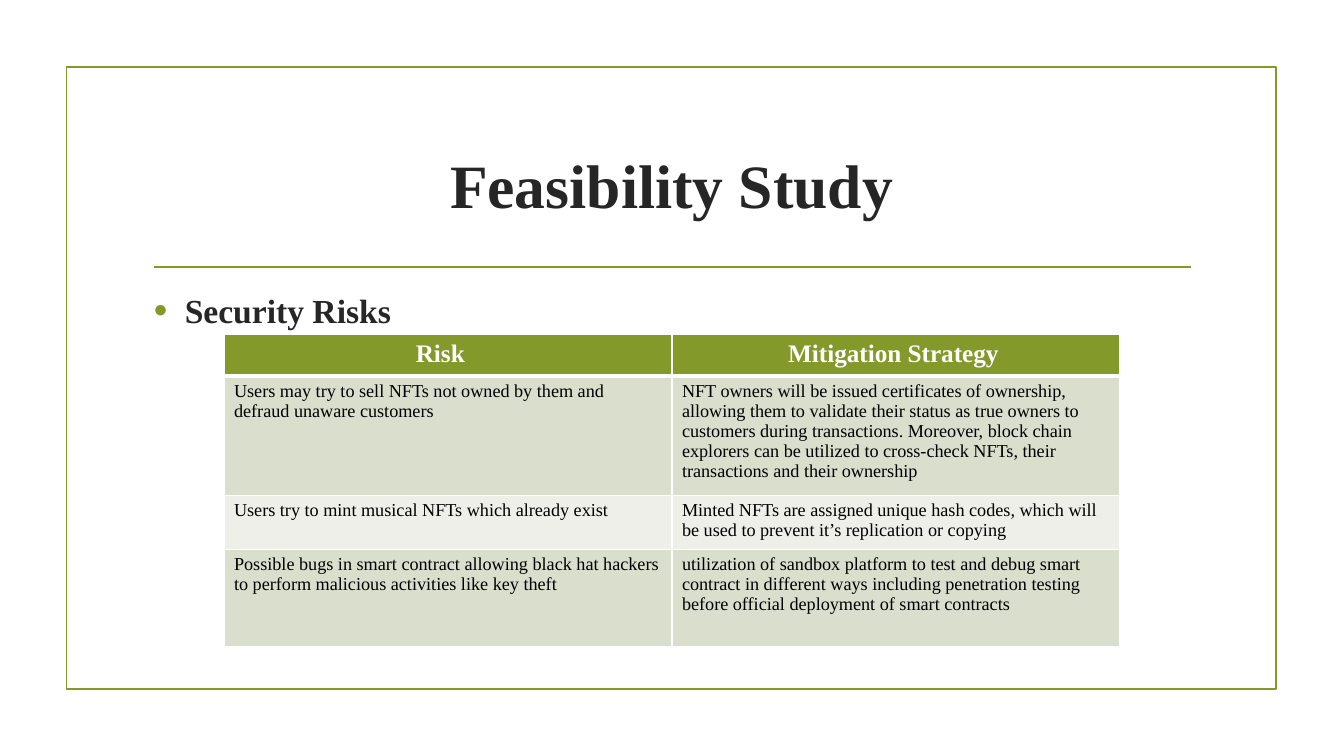
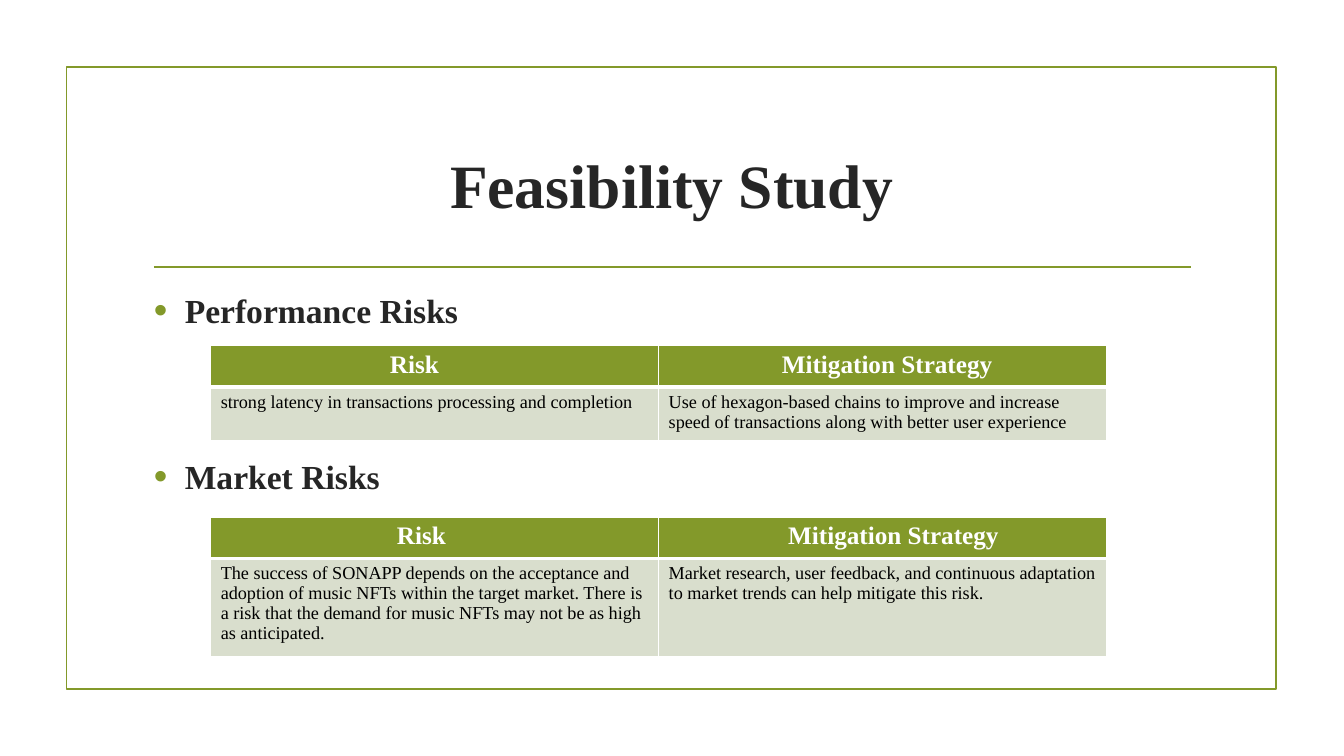
from lxml import etree
from pptx import Presentation
from pptx.dml.color import RGBColor
from pptx.enum import shapes, text
from pptx.oxml import ns
from pptx.util import Pt

OLIVE = RGBColor(0x83, 0x99, 0x2A)
INK = RGBColor(0x26, 0x26, 0x26)
BLACK = RGBColor(0, 0, 0)
WHITE = RGBColor(0xFF, 0xFF, 0xFF)
BANDS = [RGBColor(0xD9, 0xDE, 0xCD), RGBColor(0xED, 0xEF, 0xE8)]
FONT = "Times New Roman"
HEADER = ("Risk", "Mitigation Strategy")
HEADER_HEIGHT = 29.5
COLUMN_WIDTH = 320
CELL_INSET = 7.2


def add_child(parent, tag, **attributes):
    return etree.SubElement(parent, ns.qn(tag), attributes)


class RiskDeck:
    def __init__(self):
        self.deck = Presentation()
        self.deck.slide_width, self.deck.slide_height = Pt(960), Pt(540)
        self.page = None

    def add_page(self, title):
        self.page = self.deck.slides.add_slide(self.deck.slide_layouts[6])
        self.add_frame()
        self.add_rule()
        self.add_title(title)

    def add_frame(self):
        frame = self.page.shapes.add_shape(
            shapes.MSO_SHAPE.RECTANGLE, Pt(47.5), Pt(48), Pt(864), Pt(444))
        frame.shadow.inherit = False
        frame.fill.background()
        self.style_line(frame.line)

    def add_rule(self):
        rule = self.page.shapes.add_connector(
            shapes.MSO_CONNECTOR.STRAIGHT, Pt(110), Pt(190.8), Pt(850.5), Pt(190.8))
        self.style_line(rule.line)
        add_child(rule._element.spPr, "a:effectLst")

    def style_line(self, line):
        line.color.rgb = OLIVE
        line.width = Pt(1.25)

    def add_span(self, para, words, size, color, bold=False):
        span = para.add_run()
        span.text = words
        span.font.name = FONT
        span.font.size = Pt(size)
        span.font.bold = bold
        span.font.color.rgb = color

    def add_box(self, left, top, width, height):
        box = self.page.shapes.add_textbox(Pt(left), Pt(top), Pt(width), Pt(height))
        frame = box.text_frame
        frame.word_wrap = True
        frame.margin_left = frame.margin_right = Pt(0)
        frame.margin_top = frame.margin_bottom = Pt(0)
        return frame

    def add_title(self, words):
        frame = self.add_box(102, 80, 756, 103)
        frame.vertical_anchor = text.MSO_ANCHOR.MIDDLE
        para = frame.paragraphs[0]
        para.alignment = text.PP_ALIGN.CENTER
        self.add_span(para, words, 44, INK, bold=True)

    def add_heading(self, words, top):
        para = self.add_box(110, top, 740, 30).paragraphs[0]
        props = para._p.get_or_add_pPr()
        props.set("marL", str(Pt(22)))
        props.set("indent", str(-Pt(22)))
        color = add_child(props, "a:buClr")
        add_child(color, "a:srgbClr", val=str(OLIVE))
        add_child(props, "a:buSzPct", val="115000")
        add_child(props, "a:buFont", typeface="Arial")
        add_child(props, "a:buChar", char="•")
        self.add_span(para, words, 24, INK, bold=True)

    def add_borders(self, cell, top, bottom):
        props = cell._tc.get_or_add_tcPr()
        for tag, width in (("a:lnL", 1), ("a:lnR", 1), ("a:lnT", top), ("a:lnB", bottom)):
            border = add_child(props, tag, w=str(Pt(width)))
            fill = add_child(border, "a:solidFill")
            add_child(fill, "a:srgbClr", val=str(WHITE))

    def fill_cell(self, cell, words, row, inset):
        self.add_borders(cell, 3 if row == 1 else 1, 3 if row == 0 else 1)
        cell.fill.solid()
        cell.fill.fore_color.rgb = BANDS[(row - 1) % 2] if row else OLIVE
        cell.margin_left = Pt(inset)
        cell.margin_right = Pt(CELL_INSET)
        cell.margin_top = cell.margin_bottom = Pt(3.6)
        para = cell.text_frame.paragraphs[0]
        if row:
            self.add_span(para, words, 13, BLACK)
        else:
            self.add_span(para, words, 18, WHITE, bold=True)

    def add_risk_table(self, left, top, header_insets, risks, heights):
        heights = [HEADER_HEIGHT, *heights]
        table = self.page.shapes.add_table(
            len(heights), len(HEADER), Pt(left), Pt(top),
            Pt(COLUMN_WIDTH * len(HEADER)), Pt(sum(heights))).table
        for column in table.columns:
            column.width = Pt(COLUMN_WIDTH)
        for row, (entries, height) in enumerate(zip([HEADER, *risks], heights)):
            table.rows[row].height = Pt(height)
            insets = [CELL_INSET] * len(HEADER) if row else header_insets
            for column, (words, inset) in enumerate(zip(entries, insets)):
                self.fill_cell(table.cell(row, column), words, row, inset)


SECURITY_RISKS = [
    ("Users may try to sell NFTs not owned by them and defraud unaware customers",
     "NFT owners will be issued certificates of ownership, allowing them to validate "
     "their status as true owners to customers during transactions. Moreover, block "
     "chain explorers can be utilized to cross-check NFTs, their transactions and "
     "their ownership"),
    ("Users try to mint musical NFTs which already exist",
     "Minted NFTs are assigned unique hash codes, which will be used to prevent it’s "
     "replication or copying"),
    ("Possible bugs in smart contract allowing black hat hackers to perform malicious "
     "activities like key theft",
     "utilization of sandbox platform to test and debug smart contract in different "
     "ways including penetration testing before official deployment of smart contracts"),
]
PERFORMANCE_RISKS = [
    ("strong latency in transactions processing and completion",
     "Use of hexagon-based chains to improve and increase speed of transactions along "
     "with better user experience"),
]
MARKET_RISKS = [
    ("The success of SONAPP depends on the acceptance and adoption of music NFTs within "
     "the target market. There is a risk that the demand for music NFTs may not be as "
     "high as anticipated.",
     "Market research, user feedback, and continuous adaptation to market trends can "
     "help mitigate this risk."),
]


def main():
    risk_deck = RiskDeck()

    risk_deck.add_page("Feasibility Study")
    risk_deck.add_heading("Security Risks", 207)
    risk_deck.add_risk_table(160, 239, (137, 83), SECURITY_RISKS, (79, 35.5, 69.5))

    risk_deck.add_page("Feasibility Study")
    risk_deck.add_heading("Performance Risks", 207)
    risk_deck.add_risk_table(150.5, 247, (128, 88), PERFORMANCE_RISKS, (35.5,))
    risk_deck.add_heading("Market Risks", 325.5)
    risk_deck.add_risk_table(150.5, 369.5, (133, 92.5), MARKET_RISKS, (69,))

    risk_deck.deck.save("out.pptx")


if __name__ == "__main__":
    main()
